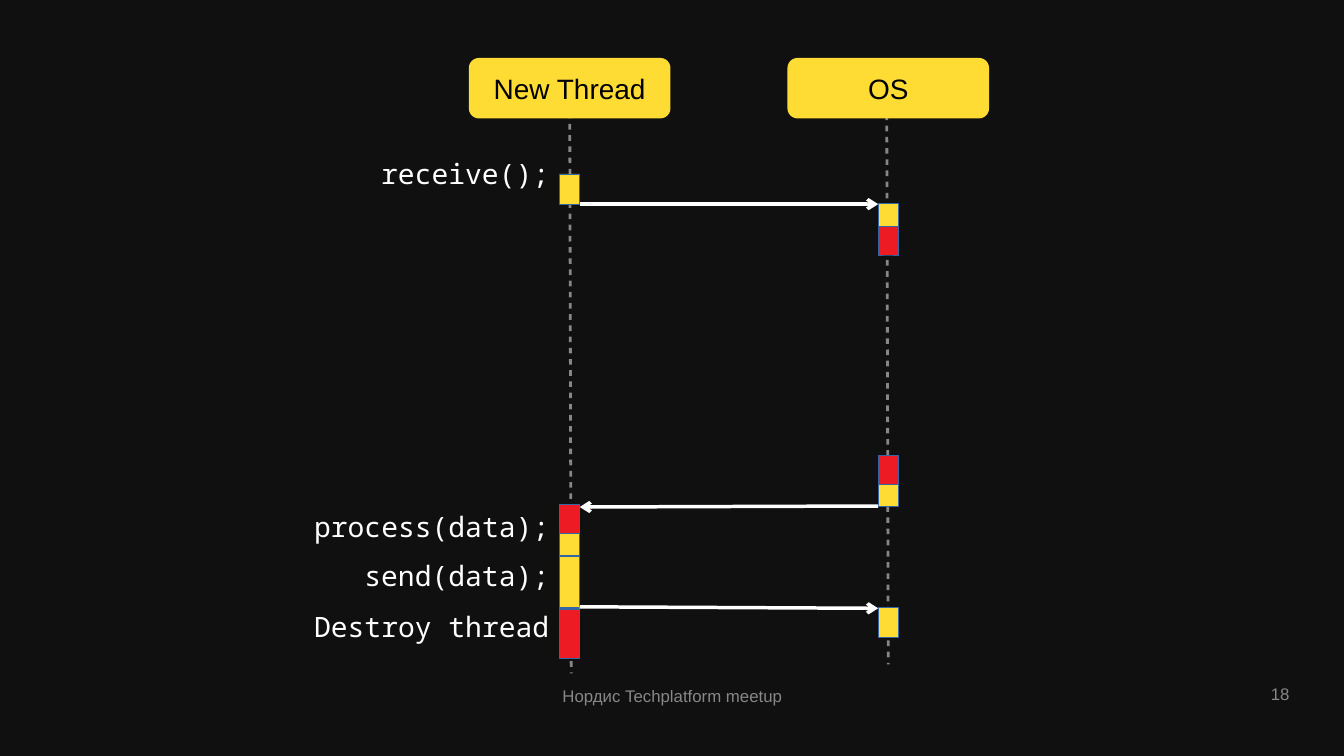
"""Build a sequence diagram of a new thread calling the OS."""
from lxml.etree import SubElement as Sub
from pptx import Presentation
from pptx.dml.color import RGBColor
from pptx.enum.shapes import MSO_CONNECTOR as Link, MSO_SHAPE as Kind
from pptx.enum.text import MSO_ANCHOR as Anchor, PP_ALIGN as Align
from pptx.oxml.ns import qn
from pptx.util import Inches, Pt

WIDE, HIGH = 26.66, 15
DARK = RGBColor(0x10, 0x10, 0x10)
WHITE = RGBColor(0xFF, 0xFF, 0xFF)
BLACK = RGBColor(0, 0, 0)
GOLD = RGBColor(0xFF, 0xDC, 0x33)
RED = RGBColor(0xED, 0x1C, 0x24)
BLUE = RGBColor(0x34, 0x65, 0xA4)
SANS, MONO = "Arial", "Noto Sans Mono"

THREAD, SYSTEM = 11.3, 17.62
HEAD_W, HEAD_H, HEAD_Y = 4, 1.2, 1.15
BAR = 0.4
CALL_X, CALL_W = 4.79, 6.2

LANES = [("New Thread", THREAD, 0, 1.35, 13.36), ("OS", SYSTEM, -0.03, 2.05, 13.18)]
BARS = [
    (THREAD, 3.45, 0.6, GOLD),
    (SYSTEM, 4.04, 1, GOLD),
    (SYSTEM, 9.04, 1, GOLD),
    (THREAD, 10.02, 1, GOLD),
    (SYSTEM, 12.05, 0.6, GOLD),
    (THREAD, 12.06, 1, GOLD),
    (THREAD, 11.04, 1, GOLD),
    (THREAD, 10.01, 0.57, RED),
    (SYSTEM, 4.49, 0.57, RED),
    (SYSTEM, 9.04, 0.57, RED),
    (THREAD, 12.09, 0.97, RED),
]
ARROWS = [
    (THREAD, 4.05, SYSTEM, 4.05),
    (SYSTEM, 10.04, THREAD, 10.06),
    (THREAD, 12.04, SYSTEM, 12.07),
]
CALLS = [
    ("receive();", 3.05),
    ("process(data);", 10.06),
    ("send(data);", 11.04),
    ("Destroy thread", 12.05),
]
NOTES = [
    ("18", (22.64, 13.36, 2.94, 0.8), Align.RIGHT, Anchor.MIDDLE, 0.05),
    ("Нордис Techplatform meetup", (5.69, 13.61, 15.29, 0.59), Align.CENTER, Anchor.TOP, 0),
]


def fade(item):
    for tint in item.element.iter(qn("a:srgbClr")):
        Sub(tint, qn("a:alpha"), val="50000")


def write(shape, text, size, face, color, align, anchor, pads=(0.1, 0.05), wrap=True):
    frame = shape.text_frame
    frame.word_wrap, frame.vertical_anchor = wrap, anchor
    frame.margin_left = frame.margin_right = Inches(pads[0])
    frame.margin_top = frame.margin_bottom = Inches(pads[1])
    para = frame.paragraphs[0]
    para.text, para.alignment = text, align
    font = para.font
    font.size, font.name, font.color.rgb = Pt(size), face, color


def block(shapes, kind, spot, fill):
    shape = shapes.add_shape(kind, *map(Inches, spot))
    shape.shadow.inherit = False
    shape.fill.solid()
    shape.fill.fore_color.rgb = fill
    return shape


def stroke(shapes, ends, width):
    line = shapes.add_connector(Link.STRAIGHT, *map(Inches, ends))
    line.line.color.rgb, line.line.width = WHITE, Pt(width)
    props = line.element.spPr
    Sub(props, qn("a:effectLst"))
    return line, props.find(qn("a:ln"))


def main():
    deck = Presentation()
    deck.slide_width, deck.slide_height = Inches(WIDE), Inches(HIGH)
    slide = deck.slides.add_slide(deck.slide_layouts[6])
    slide.background.fill.solid()
    slide.background.fill.fore_color.rgb = DARK
    shapes = slide.shapes

    for name, mid, shift, top, end in LANES:
        line, edge = stroke(shapes, (mid + shift, top, mid + shift + 0.03, end), 4)
        Sub(Sub(edge, qn("a:custDash")), qn("a:ds"), d="200000", sp="200000")
        fade(line)
        spot = (mid - HEAD_W / 2, HEAD_Y, HEAD_W, HEAD_H)
        head = block(shapes, Kind.ROUNDED_RECTANGLE, spot, GOLD)
        head.line.fill.background()
        write(head, name, 40, SANS, BLACK, Align.CENTER, Anchor.MIDDLE, wrap=False)

    for mid, top, tall, fill in BARS:
        bar = block(shapes, Kind.RECTANGLE, (mid - BAR / 2, top, BAR, tall), fill)
        bar.line.color.rgb, bar.line.width = BLUE, Pt(0)

    for start, y1, end, y2 in ARROWS:
        side = BAR / 2 if start < end else -BAR / 2
        edge = stroke(shapes, (start + side, y1, end - side, y2), 5)[1]
        Sub(edge, qn("a:tailEnd"), type="arrow")

    for text, top in CALLS:
        box = shapes.add_textbox(*map(Inches, (CALL_X, top, CALL_W, 1)))
        write(box, text, 40, MONO, WHITE, Align.RIGHT, Anchor.TOP)

    for text, spot, align, anchor, pad in NOTES:
        box = shapes.add_textbox(*map(Inches, spot))
        write(box, text, 24, SANS, WHITE, align, anchor, (0, pad))
        fade(box)

    deck.save("out.pptx")


if __name__ == "__main__":
    main()
